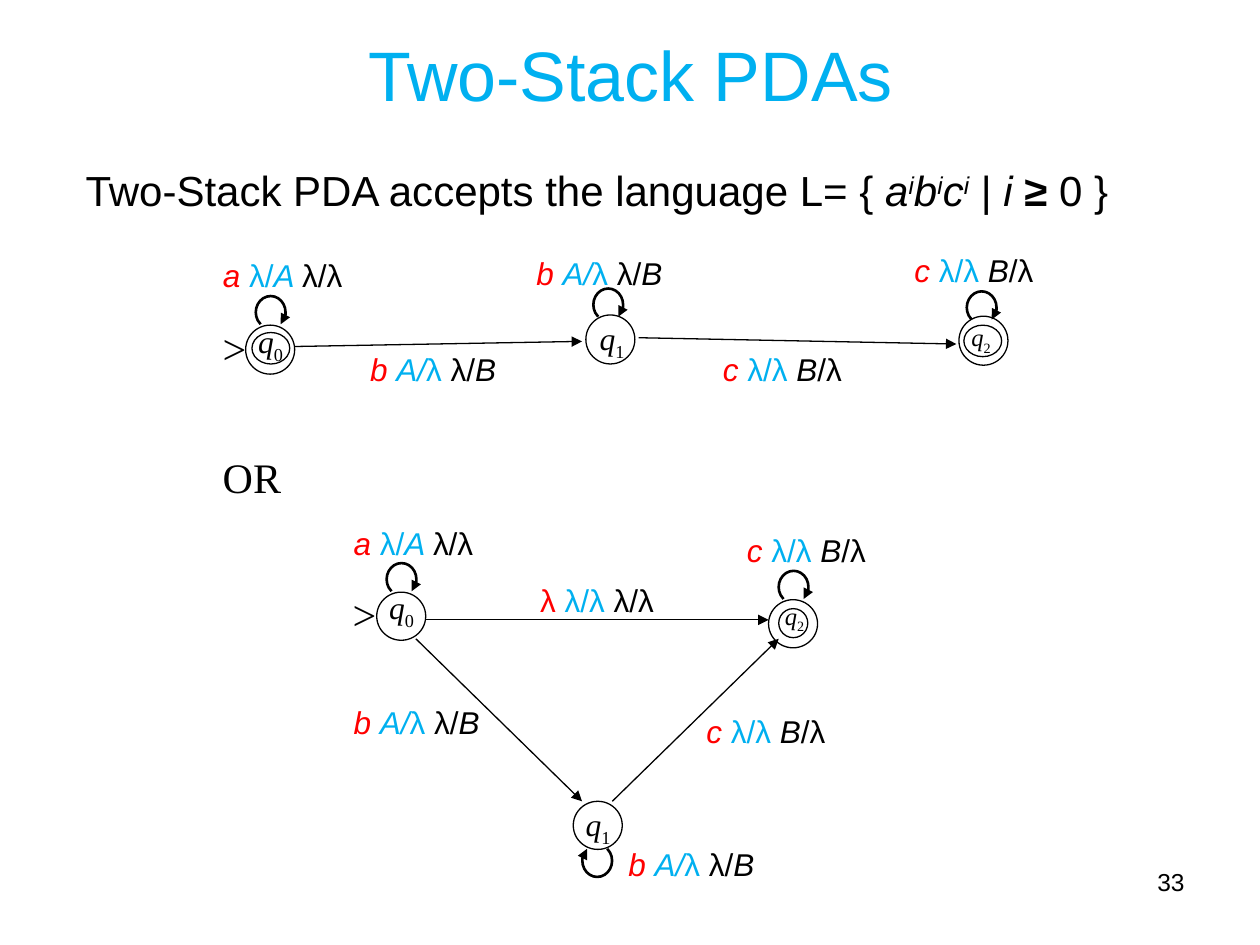
"""Build the Two-Stack PDAs slide with two state diagrams."""
import pptx
import pptx.dml.color
import pptx.enum.shapes
import pptx.enum.text
import pptx.oxml
import pptx.oxml.ns
import pptx.util

Pt = pptx.util.Pt
SHAPE = pptx.enum.shapes.MSO_SHAPE
ALIGN = pptx.enum.text.PP_ALIGN
ANCHOR = pptx.enum.text.MSO_ANCHOR
BLACK = pptx.dml.color.RGBColor(0x00, 0x00, 0x00)
RED = pptx.dml.color.RGBColor(0xFF, 0x00, 0x00)
BLUE = pptx.dml.color.RGBColor(0x00, 0xB0, 0xF0)
SANS = "Arial"
SERIF = "Times New Roman"
STATE_WIDTH = 28
THIN = 0.74
ITALIC = {"italic": True}
SUPERSCRIPT = {"italic": True, "baseline": 30000}
SUBSCRIPT = {"baseline": -25000}
READ = {"color": RED, "italic": True}
FIRST = {"color": BLUE}
FIRST_ITALIC = {"color": BLUE, "italic": True}

PUSH_A = [("a ", READ), ("λ/", FIRST), ("A ", FIRST_ITALIC), ("λ/λ", {})]
MOVE_B = [("b ", READ), ("A/", FIRST_ITALIC), ("λ ", FIRST), ("λ/", {}), ("B", ITALIC)]
POP_C = [("c ", READ), ("λ/λ ", FIRST), ("B", ITALIC), ("/λ", {})]
SKIP = [("λ ", {"color": RED}), ("λ/λ ", FIRST), ("λ/λ", {})]
LANGUAGE = [
    ("Two-Stack PDA accepts the language L= { ", {}),
    ("a", ITALIC), ("i", SUPERSCRIPT),
    ("b", ITALIC), ("i", SUPERSCRIPT),
    ("c", ITALIC), ("i", SUPERSCRIPT),
    (" | ", {}), ("i ", ITALIC), ("≥", {"bold": True}), (" 0 }", {}),
]


def add_text(slide, runs, box, *, size=18, font=SANS, color=BLACK,
             align=ALIGN.LEFT, anchor=ANCHOR.TOP, wrap=True, inset=7.2):
    """Add a text box of formatted runs at a left, top, width, height box."""
    shape = slide.shapes.add_textbox(*map(Pt, box))
    frame = shape.text_frame
    frame.word_wrap = wrap
    frame.vertical_anchor = anchor
    frame.margin_left = Pt(inset)
    paragraph = frame.paragraphs[0]
    paragraph.alignment = align
    for words, style in runs:
        run = paragraph.add_run()
        run.text = words
        run.font.name = font
        run.font.size = Pt(size)
        run.font.bold = style.get("bold", False)
        run.font.italic = style.get("italic", False)
        run.font.color.rgb = style.get("color", color)
        if "baseline" in style:
            run.font._element.set("baseline", str(style["baseline"]))


def add_label(slide, runs, left, top):
    """Add a transition label."""
    add_text(slide, runs, (left, top, 118, 28.8), inset=20.7)


def add_outline(slide, kind, box, width=THIN):
    """Add an unfilled black preset shape."""
    shape = slide.shapes.add_shape(kind, *map(Pt, box))
    shape.shadow.inherit = False
    shape.fill.background()
    shape.line.color.rgb = BLACK
    shape.line.width = Pt(width)
    return shape


def add_arrowhead(shape):
    """End a line with a triangle."""
    tail = pptx.oxml.parse_xml(
        f'<a:tailEnd {pptx.oxml.ns.nsdecls("a")} type="triangle"/>')
    shape.line._get_or_add_ln().append(tail)


def add_state(slide, number, left, top, height, name_left, name_top, *, size=18, inner=None):
    """Add a state circle with its name and an optional inner accepting ring."""
    add_outline(slide, SHAPE.OVAL, (left, top, STATE_WIDTH, height))
    if inner:
        add_outline(slide, SHAPE.OVAL, inner)
    add_text(slide, [("q", ITALIC), (number, SUBSCRIPT)],
             (name_left, name_top, 34, 31), size=size, font=SERIF)


def add_loop(slide, left, top, start=130, end=50):
    """Add a clockwise self-loop between two angles in degrees."""
    arc = add_outline(slide, SHAPE.ARC, (left, top, 17, 18.5), 1.5)
    arc.adjustments[0] = start * 0.6
    arc.adjustments[1] = end * 0.6
    add_arrowhead(arc)


def add_arrow(slide, *ends):
    """Add a straight arrow from x, y to x, y."""
    connector = slide.shapes.add_connector(
        pptx.enum.shapes.MSO_CONNECTOR.STRAIGHT, *map(Pt, ends))
    connector.line.color.rgb = BLACK
    connector.line.width = Pt(THIN)
    add_arrowhead(connector)
    connector._element.spPr.append(
        pptx.oxml.parse_xml(f'<a:effectLst {pptx.oxml.ns.nsdecls("a")}/>'))


def add_start(slide, left, top):
    """Mark the start state."""
    add_text(slide, [(">", {})], (left, top, 28, 36), size=24, font=SERIF, wrap=False)


def add_chain(slide):
    """Draw the three states in a row."""
    add_start(slide, 120.2, 180.7)
    add_state(slide, "0", 140.4, 185.8, 28, 140.4, 180.7, inner=(144, 190, 21.6, 18))
    add_state(slide, "1", 334.8, 180, 28, 335.5, 178.6)
    add_state(slide, "2", 548, 180.7, 28, 548, 180.7, size=14, inner=(550.8, 185.8, 21.6, 18))
    for left, top in ((146.2, 169.2), (339.1, 164.9), (552.5, 166.5)):
        add_loop(slide, left, top)
    add_arrow(slide, 168.5, 198, 332.6, 195.1)
    add_arrow(slide, 365, 193, 546.5, 196.6)
    for runs, left, top in (
        (PUSH_A, 106.6, 142.6), (MOVE_B, 285.8, 141.8), (POP_C, 501.8, 139.7),
        (MOVE_B, 190.8, 196.6), (POP_C, 392.4, 196.6),
    ):
        add_label(slide, runs, left, top)


def add_triangle(slide):
    """Draw the three states in a triangle."""
    add_start(slide, 194.4, 332.6)
    add_state(slide, "0", 215.3, 338.4, 27.5, 215.3, 332.6)
    add_state(slide, "1", 327.6, 457.9, 27.5, 327.6, 456.5)
    add_state(slide, "2", 439.2, 342.7, 27.5, 441.4, 339.8, size=14,
              inner=(445, 347.8, 16.6, 16.6))
    add_loop(slide, 221, 321.8)
    add_loop(slide, 445, 326.2)
    add_loop(slide, 332.8, 482.6, 310, 230)
    add_arrow(slide, 243.4, 354.2, 439.2, 354.2)
    add_arrow(slide, 237.6, 365, 332.6, 457.9)
    add_arrow(slide, 349.9, 457.9, 445, 365)
    for runs, left, top in (
        (PUSH_A, 181.4, 295.9), (SKIP, 288, 328.3), (POP_C, 406.1, 300.2),
        (MOVE_B, 181.4, 398.2), (POP_C, 383, 403.2), (MOVE_B, 338.4, 479.5),
    ):
        add_label(slide, runs, left, top)


def main():
    """Build and save the slide."""
    presentation = pptx.Presentation()
    presentation.slide_width = Pt(720)
    presentation.slide_height = Pt(540)
    slide = presentation.slides.add_slide(presentation.slide_layouts[6])
    add_text(slide, [("Two-Stack PDAs", {})], (184.3, 20.2, 352, 44), size=40,
             color=BLUE, align=ALIGN.CENTER, anchor=ANCHOR.MIDDLE)
    add_text(slide, LANGUAGE, (41.8, 90.7, 630, 69.8), size=24)
    add_chain(slide)
    add_text(slide, [("OR", {})], (120.2, 254.2, 47.5, 36), size=24, font=SERIF, wrap=False)
    add_triangle(slide)
    add_text(slide, [("33", {})], (516.2, 491.8, 167.8, 37.4), size=14, align=ALIGN.RIGHT)
    presentation.save("out.pptx")


main()
